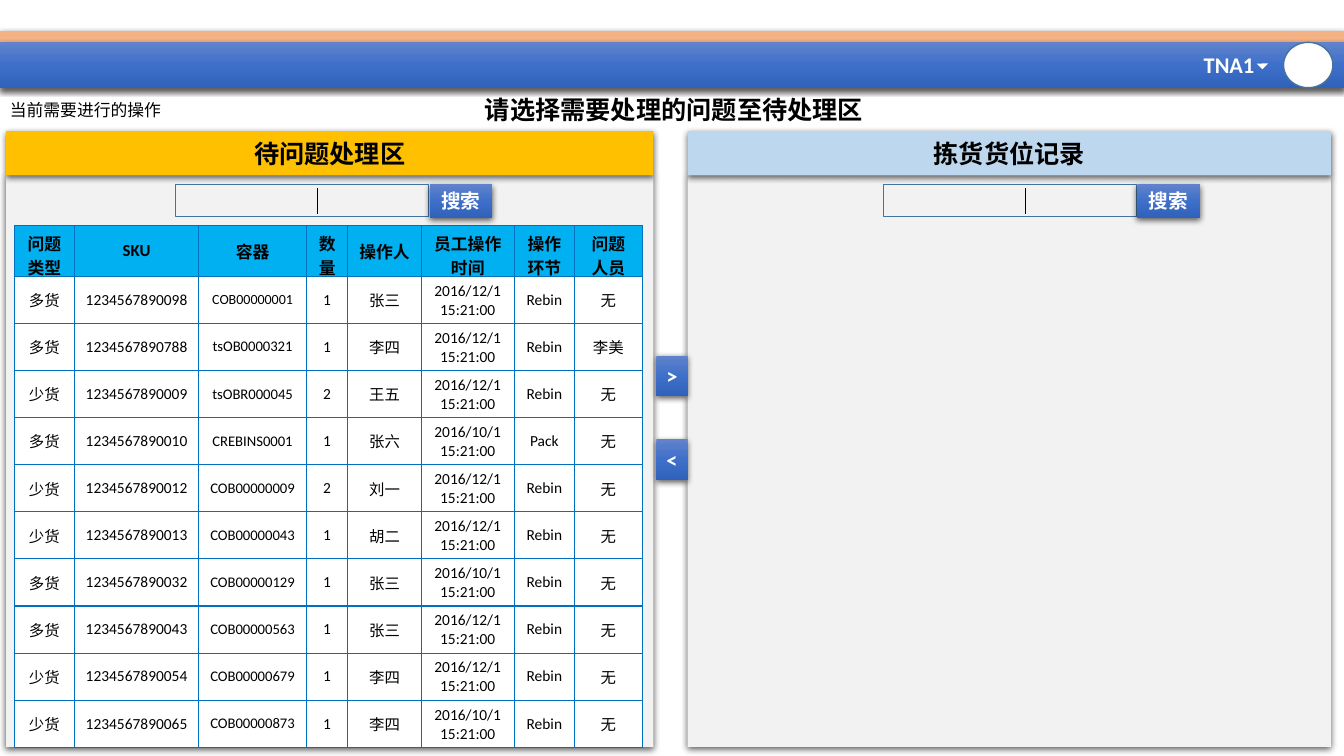
"""Build the problem-handling workbench slide."""
from copy import deepcopy

from lxml import etree
from pptx import Presentation
from pptx.dml.color import RGBColor
from pptx.enum.shapes import MSO_CONNECTOR, MSO_SHAPE
from pptx.enum.text import MSO_ANCHOR, PP_ALIGN
from pptx.oxml.ns import qn
from pptx.util import Inches, Pt

RECTANGLE, OVAL, TRIANGLE = MSO_SHAPE.RECTANGLE, MSO_SHAPE.OVAL, MSO_SHAPE.RIGHT_TRIANGLE
STRAIGHT = MSO_CONNECTOR.STRAIGHT
LEFT, CENTER = PP_ALIGN.LEFT, PP_ALIGN.CENTER
MIDDLE = MSO_ANCHOR.MIDDLE

FONT = "Calibri"
BLACK = RGBColor(0x00, 0x00, 0x00)
WHITE = RGBColor(0xFF, 0xFF, 0xFF)
ORANGE = RGBColor(0xF4, 0xB1, 0x83)
AMBER = RGBColor(0xFF, 0xC0, 0x00)
PALE_BLUE = RGBColor(0xBD, 0xD7, 0xEE)
PANEL_GRAY = RGBColor(0xF2, 0xF2, 0xF2)
HEADER_BLUE = RGBColor(0x00, 0xB0, 0xF0)
GRID_BLUE = RGBColor(0x00, 0x70, 0xC0)
OUTLINE_BLUE = RGBColor(0x43, 0x73, 0x9E)
GRADIENT = [
    (0, RGBColor(0x61, 0x83, 0xCB)),
    (0.5, RGBColor(0x3E, 0x70, 0xCA)),
    (1, RGBColor(0x30, 0x62, 0xBB)),
]

USER = "TNA1"
STEP_LABEL = "当前需要进行的操作"
INSTRUCTION = "请选择需要处理的问题至待处理区"
SEARCH = "搜索"
PANELS = [
    ("待问题处理区", AMBER, 0.06, 6.42, 1.74),
    ("拣货货位记录", PALE_BLUE, 6.82, 6.38, 8.76),
]
MOVE_BUTTONS = [(">", 3.53), ("<", 4.36)]

COLUMNS = [
    ("问题类型", 0.6), ("SKU", 1.23), ("容器", 1.07), ("数量", 0.41),
    ("操作人", 0.73), ("员工操作时间", 0.92), ("操作环节", 0.6), ("问题人员", 0.67),
]
CONTAINER_COLUMN = 2
DECEMBER = "2016/12/1\n15:21:00"
OCTOBER = "2016/10/1\n15:21:00"
RECORDS = [
    ("多货", "1234567890098", "COB00000001", "1", "张三", DECEMBER, "Rebin", "无"),
    ("多货", "1234567890788", "tsOB0000321", "1", "李四", DECEMBER, "Rebin", "李美"),
    ("少货", "1234567890009", "tsOBR000045", "2", "王五", DECEMBER, "Rebin", "无"),
    ("多货", "1234567890010", "CREBINS0001", "1", "张六", OCTOBER, "Pack", "无"),
    ("少货", "1234567890012", "COB00000009", "2", "刘一", DECEMBER, "Rebin", "无"),
    ("少货", "1234567890013", "COB00000043", "1", "胡二", DECEMBER, "Rebin", "无"),
    ("多货", "1234567890032", "COB00000129", "1", "张三", OCTOBER, "Rebin", "无"),
    ("多货", "1234567890043", "COB00000563", "1", "张三", DECEMBER, "Rebin", "无"),
    ("少货", "1234567890054", "COB00000679", "1", "李四", DECEMBER, "Rebin", "无"),
    ("少货", "1234567890065", "COB00000873", "1", "李四", OCTOBER, "Rebin", "无"),
]


def write_text(text_frame, text, size, color=BLACK, bold=False, align=CENTER):
    text_frame.text = text
    for paragraph in text_frame.paragraphs:
        paragraph.alignment = align
        for run in paragraph.runs:
            run.font.name = FONT
            run.font.size = Pt(size)
            run.font.bold = bold
            run.font.color.rgb = color


def add_box(shapes, box, fill=None, line=None, shadow=False, kind=RECTANGLE):
    shape = shapes.add_shape(kind, *map(Inches, box))
    shape.shadow.inherit = False
    if fill is None:
        shape.fill.background()
    elif fill is GRADIENT:
        shape.fill.gradient()
        shape.fill.gradient_angle = 270
        stop_list = shape.fill._xPr.find(".//" + qn("a:gsLst"))
        stop_list.append(deepcopy(stop_list[0]))
        for stop, (position, color) in zip(shape.fill.gradient_stops, GRADIENT):
            stop.position = position
            stop.color.rgb = color
    else:
        shape.fill.solid()
        shape.fill.fore_color.rgb = fill
    if line is None:
        shape.line.fill.background()
    else:
        shape.line.color.rgb = line
        shape.line.width = Pt(1)
    if shadow:
        effects = shape._element.spPr.find(qn("a:effectLst"))
        outer = etree.SubElement(effects, qn("a:outerShdw"), blurRad=str(Pt(4.5)),
                                 dist=str(Pt(1.5)), dir="5400000", algn="ctr", rotWithShape="0")
        color = etree.SubElement(outer, qn("a:srgbClr"), val=str(BLACK))
        etree.SubElement(color, qn("a:alpha"), val="63000")
    return shape


def add_label(shapes, box, text, size, color=BLACK, bold=False, align=CENTER, wrap=True):
    label = shapes.add_textbox(*map(Inches, box))
    label.text_frame.word_wrap = wrap
    label.text_frame.vertical_anchor = MIDDLE
    write_text(label.text_frame, text, size, color, bold, align)


def add_titled_box(shapes, box, fill, text, size, color):
    shape = add_box(shapes, box, fill, shadow=True)
    shape.text_frame.vertical_anchor = MIDDLE
    shape.text_frame.margin_left = shape.text_frame.margin_right = 0
    write_text(shape.text_frame, text, size, color, bold=True)


def add_search(shapes, left):
    add_box(shapes, (left, 1.83, 2.51, 0.32), line=OUTLINE_BLUE)
    cursor_x = Inches(left + 1.41)
    cursor = shapes.add_connector(STRAIGHT, cursor_x, Inches(1.87), cursor_x, Inches(2.12))
    cursor.line.color.rgb = BLACK
    cursor.line.width = Pt(0.75)
    etree.SubElement(cursor._element.spPr, qn("a:effectLst"))
    add_titled_box(shapes, (left + 2.52, 1.83, 0.62, 0.33), GRADIENT, SEARCH, 14, WHITE)


def style_cell(cell, fill):
    properties = cell._tc.get_or_add_tcPr()
    for side in ("a:lnL", "a:lnR", "a:lnT", "a:lnB"):
        border = etree.SubElement(properties, qn(side), w=str(Pt(1)))
        border_fill = etree.SubElement(border, qn("a:solidFill"))
        etree.SubElement(border_fill, qn("a:srgbClr"), val=str(GRID_BLUE))
    cell.fill.solid()
    cell.fill.fore_color.rgb = fill
    cell.vertical_anchor = MIDDLE


def add_records(shapes):
    rows = [[name for name, width in COLUMNS], *RECORDS]
    heights = [0.4] + [0.46] * len(RECORDS)
    total_width = sum(width for name, width in COLUMNS)
    table = shapes.add_table(len(rows), len(COLUMNS), Inches(0.14), Inches(2.24),
                             Inches(total_width), Inches(sum(heights))).table
    table.first_row = table.horz_banding = False
    for column, (name, width) in zip(table.columns, COLUMNS):
        column.width = Inches(width)
    for row_index, values in enumerate(rows):
        table.rows[row_index].height = Inches(heights[row_index])
        header = row_index == 0
        for column_index, value in enumerate(values):
            if header:
                size = 12
            elif column_index == CONTAINER_COLUMN:
                size = 10 if row_index == 1 else 10.5
            else:
                size = 11
            cell = table.cell(row_index, column_index)
            style_cell(cell, HEADER_BLUE if header else WHITE)
            write_text(cell.text_frame, value, size, bold=header)


presentation = Presentation()
presentation.slide_width = Inches(13.33)
presentation.slide_height = Inches(7.5)
slide = presentation.slides.add_slide(presentation.slide_layouts[6])
shapes = slide.shapes

add_box(shapes, (0, 0.31, 13.33, 0.11), ORANGE, shadow=True)
add_box(shapes, (0, 0.42, 13.33, 0.45), GRADIENT, shadow=True)
add_box(shapes, (12.73, 0.42, 0.49, 0.45), WHITE, OUTLINE_BLUE, kind=OVAL)
add_label(shapes, (11.84, 0.46, 0.71, 0.37), USER, 16, WHITE, True, LEFT, wrap=False)
add_box(shapes, (12.48, 0.59, 0.08, 0.08), WHITE, kind=TRIANGLE).rotation = 314.5

for title, color, left, width, search_left in PANELS:
    panel = shapes.add_group_shape().shapes
    add_box(panel, (left, 1.74, width, 5.67), PANEL_GRAY, shadow=True)
    add_titled_box(panel, (left, 1.3, width, 0.44), color, title, 18, BLACK)

add_records(shapes)
for title, color, left, width, search_left in PANELS:
    add_search(shapes, search_left)
for symbol, top in MOVE_BUTTONS:
    add_titled_box(shapes, (6.51, top, 0.31, 0.4), GRADIENT, symbol, 16, WHITE)

heading = shapes.add_group_shape().shapes
add_label(heading, (0, 0.89, 1.8, 0.4), STEP_LABEL, 12, align=LEFT)
add_label(heading, (0.02, 0.89, 13.33, 0.4), INSTRUCTION, 18, bold=True)

presentation.save("out.pptx")
